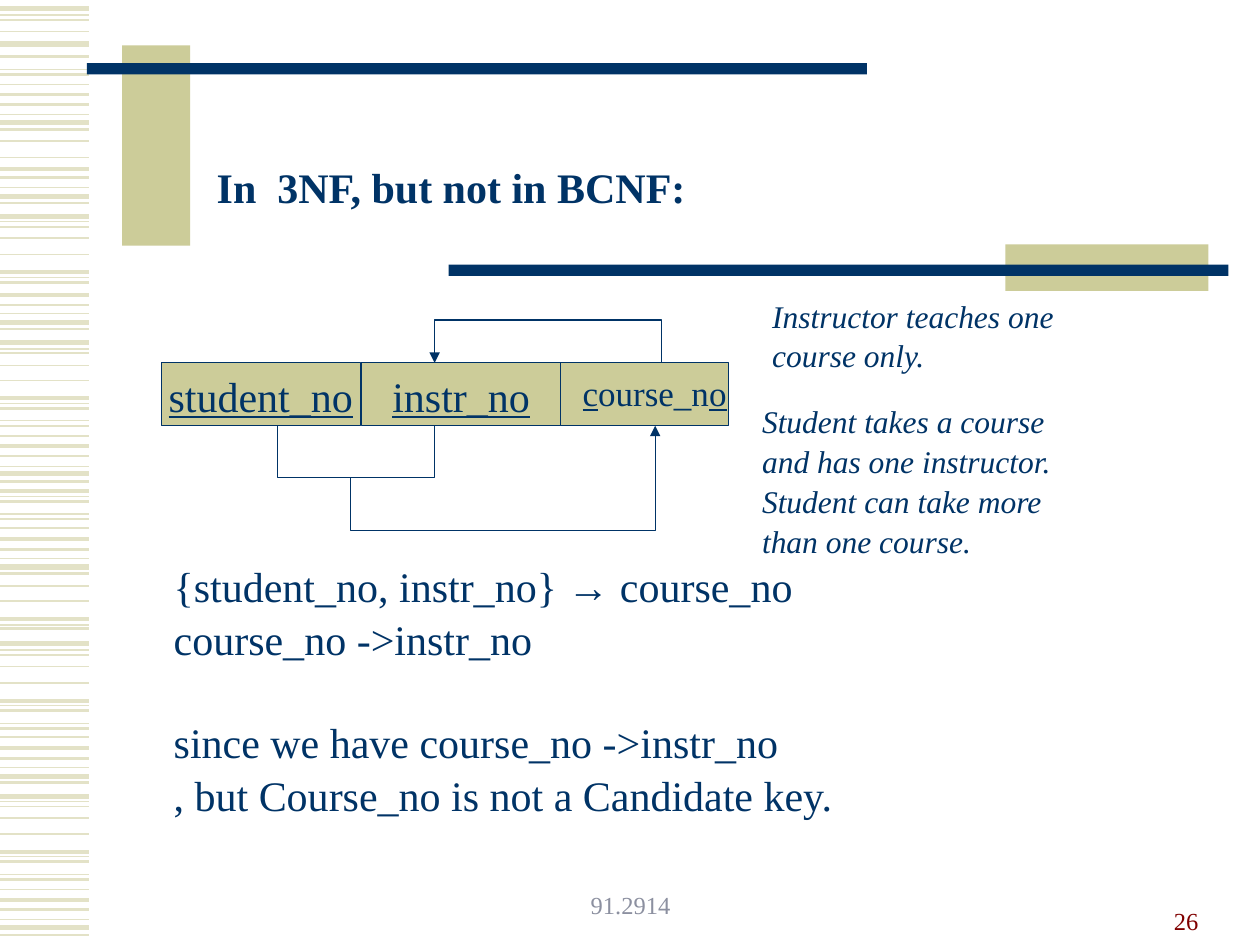
import pptx
import pptx.util
import pptx.dml.color
import pptx.enum.shapes
import pptx.enum.text
import pptx.oxml.ns
from lxml import etree

Inches, Pt = pptx.util.Inches, pptx.util.Pt
ALIGN = pptx.enum.text.PP_ALIGN
ANCHOR = pptx.enum.text.MSO_ANCHOR
RECT = pptx.enum.shapes.MSO_SHAPE.RECTANGLE
FONT = "Times New Roman"
COLORS = {"navy": "003366", "khaki": "CCCC99", "stripe": "E3E2C7",
          "grey": "8C90A0", "red": "800000"}

# Stripe heights on the page, grouped by line width in points
STRIPES = {
    0.75: [0.12, 0.55, 0.91, 1.49, 1.76, 2.2, 2.49, 2.77, 3.2, 3.34, 3.7, 3.94, 4.08,
           4.43, 4.96, 5.16, 5.6, 5.74, 6.09, 6.36, 6.8, 6.94, 7.3],
    1: [0.16, 0.25, 0.67, 1.12, 1.25, 1.8, 1.89, 2.02, 2.8, 2.9, 3.02, 3.46, 4.19,
        4.65, 4.77, 5.2, 5.29, 5.42, 5.85, 6.4, 6.49, 6.62, 7.06],
    1.5: [0.45, 0.59, 0.83, 1.03, 1.41, 1.61, 2.24, 2.42, 2.61, 3.24, 3.38, 3.62, 3.82,
          3.98, 4.12, 4.36, 4.55, 4.99, 5.64, 5.78, 6.02, 6.21, 6.84, 6.98, 7.22, 7.42],
    2.25: [0.75, 1.34, 2.16, 2.34, 3.16, 3.54, 3.9, 4.28, 4.91, 5.56, 5.94, 6.76, 7.14],
    3: [0.07, 0.35, 0.97, 1.56, 1.72, 2.56, 2.72, 3.76, 4.5, 5.11, 6.16, 6.32, 7.36],
}


def rgb(name):
    return pptx.dml.color.RGBColor.from_string(COLORS[name])


def style(run, color="navy", **form):
    run.font.color.rgb = rgb(color)
    for key, val in {"name": FONT, **form}.items():
        setattr(run.font, key, val)


def write(shape, lines, align=ALIGN.LEFT, anchor=ANCHOR.TOP, wrap=True, gaps=None, **form):
    """Each line is a string, or a list of (text, format) pairs."""
    frame = shape.text_frame
    frame.word_wrap = wrap
    frame.vertical_anchor = anchor
    for i, line in enumerate(lines):
        para = frame.paragraphs[0] if i == 0 else frame.add_paragraph()
        para.alignment = align
        para.line_spacing = 1.05
        para.space_before = Pt((gaps or {}).get(i, 0))
        for text, extra in [(line, {})] if isinstance(line, str) else line:
            run = para.add_run()
            run.text = text
            style(run, **{**form, **extra})


def label(slide, box, lines, **form):
    write(slide.shapes.add_textbox(*map(Inches, box)), lines, **form)


def block(slide, box, color, edge=None):
    shape = slide.shapes.add_shape(RECT, *map(Inches, box))
    shape.shadow.inherit = False
    shape.fill.solid()
    shape.fill.fore_color.rgb = rgb(color)
    if edge:
        shape.line.color.rgb = rgb(edge)
        shape.line.width = Pt(0.75)
    else:
        shape.line.fill.background()
    return shape


def route(slide, left, top, points, arrow=False):
    """Open path through points given from left and top."""
    pts = [(Inches(left + x), Inches(top + y)) for x, y in points]
    pen = slide.shapes.build_freeform(*pts[0], scale=1.0)
    pen.add_line_segments(pts[1:], close=False)
    shape = pen.convert_to_shape()
    shape.shadow.inherit = False
    shape.fill.background()
    shape.line.color.rgb = rgb("navy")
    shape.line.width = Pt(0.75)
    if arrow:
        tail = etree.SubElement(shape.line._get_or_add_ln(), pptx.oxml.ns.qn("a:tailEnd"))
        tail.set("type", "triangle")


def stripes(slide, left, width):
    for weight, tops in STRIPES.items():
        for top in tops:
            line = slide.shapes.add_connector(
                pptx.enum.shapes.MSO_CONNECTOR.STRAIGHT,
                *map(Inches, (left, top, left + width, top)))
            line.line.color.rgb = rgb("stripe")
            line.line.width = Pt(weight)
            etree.SubElement(line._element.spPr, pptx.oxml.ns.qn("a:effectLst"))


def bars(slide, left, top):
    for x, y, wide, high, color in [(0.28, 0, 0.54, 1.59, "khaki"),
                                    (0, 0.14, 6.19, 0.09, "navy"),
                                    (7.29, 1.58, 1.61, 0.37, "khaki"),
                                    (2.87, 1.74, 6.19, 0.09, "navy")]:
        block(slide, (left + x, top + y, wide, high), color)


def heading(slide, left, top, width, height):
    title = slide.shapes.title
    box = {"left": left, "top": top, "width": width, "height": height}
    for key, val in box.items():
        setattr(title, key, Inches(val))
    write(title, ["In  3NF, but not in BCNF:"], size=Pt(24), bold=True)


def schema(slide, left, top, high):
    # Attribute cells
    for x, wide, name in [(0, 1.58, "student_no"), (1.59, 1.58, "instr_no"), (3.17, 1.33, "")]:
        cell = block(slide, (left + x, top, wide, high), "khaki", "navy")
        if name:
            write(cell, [name], align=ALIGN.CENTER, anchor=ANCHOR.MIDDLE, wrap=False,
                  size=Pt(24), underline=True)
    line = {"underline": True}
    label(slide, (left + 3.24, top, 1.35, 0.44), [[("c", line), ("ourse_n", {}), ("o", line)]],
          align=ALIGN.CENTER, wrap=False, size=Pt(20))

    # Dependencies
    key, low = high + 0.41, high + 0.83
    route(slide, left, top, [(0.92, high), (0.92, key), (2.17, key), (2.17, high)])
    route(slide, left, top, [(1.5, key), (1.5, low), (3.92, low), (3.92, high)], arrow=True)
    route(slide, left, top, [(3.97, 0), (3.97, -0.34), (2.17, -0.34), (2.17, 0)], arrow=True)


def notes(slide, left, top, width):
    form = {"size": Pt(18), "italic": True}
    label(slide, (left + 0.08, top, width, 0.7), ["Instructor teaches one course only."], **form)
    label(slide, (left, top + 0.84, width, 1.31),
          ["Student takes a course and has one instructor. "
           "Student can take more than one course."], **form)


def proof(slide, box):
    label(slide, box, ["{student_no, instr_no} → course_no",
                       "course_no ->instr_no",
                       "since we have course_no ->instr_no",
                       ", but Course_no is not a Candidate key."],
          gaps={2: 28.8}, size=Pt(24))


def footer(slide, top):
    form = {"anchor": ANCHOR.BOTTOM, "size": Pt(14)}
    label(slide, (3.42, top, 3.17, 0.4), ["91.2914"], align=ALIGN.CENTER, color="grey", **form)
    label(slide, (7.21, top + 0.02, 2.4, 0.5), ["26"], align=ALIGN.RIGHT, color="red", **form)


def main():
    deck = pptx.Presentation()
    deck.slide_width, deck.slide_height = Inches(10), Inches(7.5)
    slide = deck.slides.add_slide(deck.slide_layouts[5])
    stripes(slide, 0, 0.71)
    bars(slide, 0.69, 0.36)
    footer(slide, 6.95)
    schema(slide, 1.28, 2.88, 0.5)
    notes(slide, 5.95, 2.29, 2.83)
    heading(slide, 1.62, 1.21, 4.33, 0.5)
    proof(slide, (1.28, 4.38, 6.38, 2.12))
    deck.save("out.pptx")


if __name__ == "__main__":
    main()
